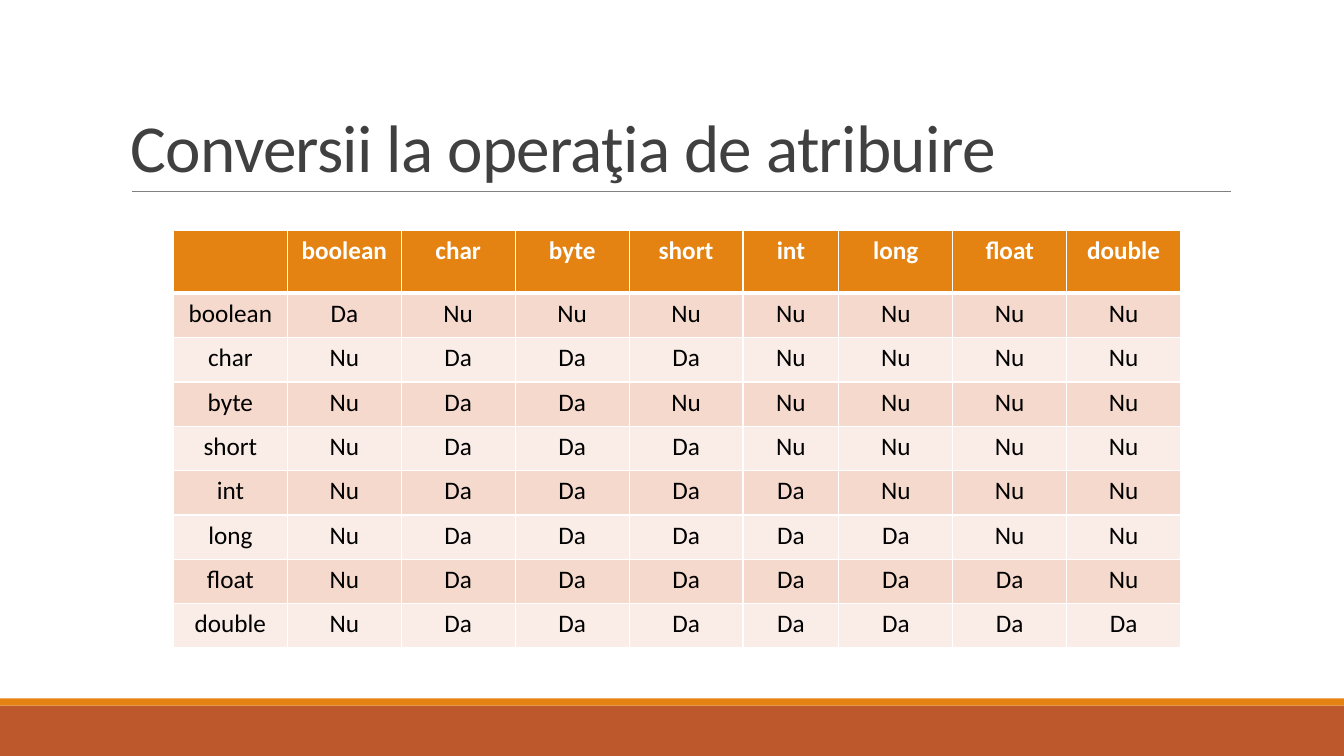
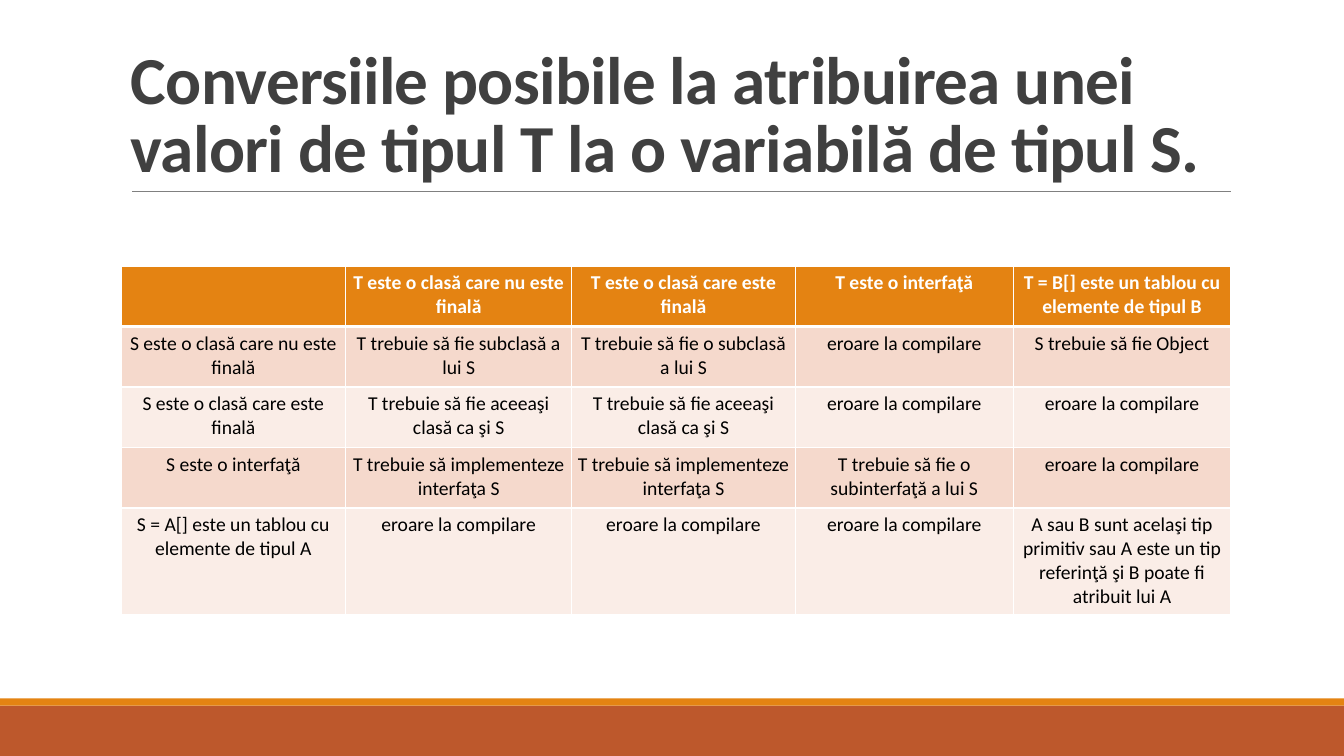
from lxml.etree import SubElement
from pptx import Presentation
from pptx.dml.color import RGBColor
from pptx.enum.shapes import MSO_CONNECTOR as CONNECTOR, MSO_SHAPE as SHAPE
from pptx.enum.text import MSO_ANCHOR as ANCHOR, PP_ALIGN as ALIGN
from pptx.oxml.ns import qn
from pptx.util import Inches, Pt

FONT = "Calibri"
WHITE, BLACK, TITLE_GRAY, RULE_GRAY = "FFFFFF", "000000", "404040", "808080"
ORANGE, RUST = "E48312", "BD582C"
ROW_BANDS = ("F5D9CC", "FAEDE7")
SLIDE_WIDTH, SLIDE_HEIGHT = 13.33, 7.5
CELL_MARGIN = 0.05
THIN, THICK = 1, 3

TYPES = ["boolean", "char", "byte", "short", "int", "long", "float", "double"]
ALLOWED = {
    "boolean": ["boolean"],
    "char": TYPES[1:4],
    "byte": TYPES[1:3],
    "short": TYPES[1:4],
    "int": TYPES[1:5],
    "long": TYPES[1:6],
    "float": TYPES[1:7],
    "double": TYPES[1:8],
}
ERROR = "eroare la compilare"
SAME_CLASS = "T trebuie să fie aceeaşi clasă ca şi S"
IMPLEMENTS = "T trebuie să implementeze interfaţa S"
REFERENCE_RULES = [
    ["", "T este o clasă care nu este finală", "T este o clasă care este finală",
     "T este o interfaţă", "T = B[] este un tablou cu elemente de tipul B"],
    ["S este o clasă care nu este finală", "T trebuie să fie subclasă a lui S",
     "T trebuie să fie o subclasă a lui S", ERROR, "S trebuie să fie Object"],
    ["S este o clasă care este finală", SAME_CLASS, SAME_CLASS, ERROR, ERROR],
    ["S este o interfaţă", IMPLEMENTS, IMPLEMENTS,
     "T trebuie să fie o subinterfaţă a lui S", ERROR],
    ["S = A[] este un tablou cu elemente de tipul A", ERROR, ERROR, ERROR,
     "A sau B sunt acelaşi tip primitiv sau A este un tip referinţă "
     "şi B poate fi atribuit lui A"],
]


def color(code):
    """Turn a hex string into a colour."""
    return RGBColor.from_string(code)


def add_run(paragraph, text, size, code, bold=False):
    """Add one styled run and return it."""
    run = paragraph.add_run()
    run.text = text
    run.font.name = FONT
    run.font.size = Pt(size)
    run.font.bold = bold
    run.font.color.rgb = color(code)
    return run


def add_band(slide, top, height, code):
    """Draw a full-width band."""
    band = slide.shapes.add_shape(
        SHAPE.RECTANGLE, 0, Inches(top), Inches(SLIDE_WIDTH), Inches(height))
    band.shadow.inherit = False
    band.fill.solid()
    band.fill.fore_color.rgb = color(code)
    band.line.fill.background()


def add_title_rule(slide):
    """Draw the thin line under the title."""
    rule = slide.shapes.add_connector(
        CONNECTOR.STRAIGHT, Inches(1.31), Inches(1.9), Inches(12.21), Inches(1.9))
    rule.line.color.rgb = color(RULE_GRAY)
    rule.line.width = Pt(0.5)
    SubElement(rule._element.spPr, qn("a:effectLst"))


def add_title(slide, text, bold):
    """Write the title, resting on the rule."""
    title = slide.shapes.add_textbox(
        Inches(1.2), Inches(0.31), Inches(11), Inches(1.59))
    frame = title.text_frame
    frame.word_wrap = True
    frame.vertical_anchor = ANCHOR.BOTTOM
    paragraph = frame.paragraphs[0]
    paragraph.line_spacing = 0.85
    run = add_run(paragraph, text, 48, TITLE_GRAY, bold)
    run._r.get_or_add_rPr().set("spc", "-50")


def add_framed_slide(deck, title, bold=False):
    """Add a slide with the shared bands, rule and title."""
    slide = deck.slides.add_slide(deck.slide_layouts[6])
    add_band(slide, 7, 0.5, RUST)
    add_band(slide, 6.93, 0.07, ORANGE)
    add_title_rule(slide)
    add_title(slide, title, bold)
    return slide


def set_borders(cell, top, bottom):
    """Give a cell white borders, with top and bottom widths in points."""
    properties = cell._tc.get_or_add_tcPr()
    for side, width in zip("LRTB", (THIN, THIN, top, bottom)):
        border = SubElement(properties, qn(f"a:ln{side}"), w=str(Pt(width)))
        fill = SubElement(border, qn("a:solidFill"))
        SubElement(fill, qn("a:srgbClr"), val=WHITE)


def fill_cell(cell, text, size, row):
    """Style a cell by its row and write its text."""
    header = row == 0
    set_borders(cell, THICK if row == 1 else THIN, THICK if header else THIN)
    cell.fill.solid()
    cell.fill.fore_color.rgb = color(ORANGE if header else ROW_BANDS[(row - 1) % 2])
    cell.margin_left = cell.margin_right = Inches(CELL_MARGIN)
    cell.margin_top = cell.margin_bottom = Inches(CELL_MARGIN)
    paragraph = cell.text_frame.paragraphs[0]
    paragraph.alignment = ALIGN.CENTER
    if text:
        add_run(paragraph, text, size, WHITE if header else BLACK, header)


def add_grid(slide, left, top, widths, heights, rows, size):
    """Add a table with a header row and banded body rows."""
    table = slide.shapes.add_table(
        len(heights), len(widths), Inches(left), Inches(top),
        Inches(sum(widths)), Inches(sum(heights))).table
    for column, width in zip(table.columns, widths):
        column.width = Inches(width)
    for line, height in zip(table.rows, heights):
        line.height = Inches(height)
    for row, texts in enumerate(rows):
        for column, text in enumerate(texts):
            fill_cell(table.cell(row, column), text, size, row)


def primitive_rows():
    """List the yes and no answers for each pair of primitive types."""
    answers = [[target] + ["Da" if source in ALLOWED[target] else "Nu"
                           for source in TYPES] for target in TYPES]
    return [[""] + TYPES] + answers


def main():
    """Build and save the deck."""
    deck = Presentation()
    deck.slide_width = Inches(SLIDE_WIDTH)
    deck.slide_height = Inches(SLIDE_HEIGHT)

    primitives = add_framed_slide(deck, "Conversii la operaţia de atribuire")
    add_grid(primitives, 1.72, 2.29, [1.13] * 5 + [0.95] + [1.13] * 3,
             [0.62] + [0.44] * 8, primitive_rows(), 18)

    references = add_framed_slide(
        deck, "Conversiile posibile la atribuirea unei valori de tipul T "
        "la o variabilă de tipul S.", bold=True)
    add_grid(references, 1.2, 2.64, [2.23, 2.24, 2.22, 2.16, 2.16],
             [0.6] * 4 + [1.06], REFERENCE_RULES, 14)

    deck.save("out.pptx")


if __name__ == "__main__":
    main()
